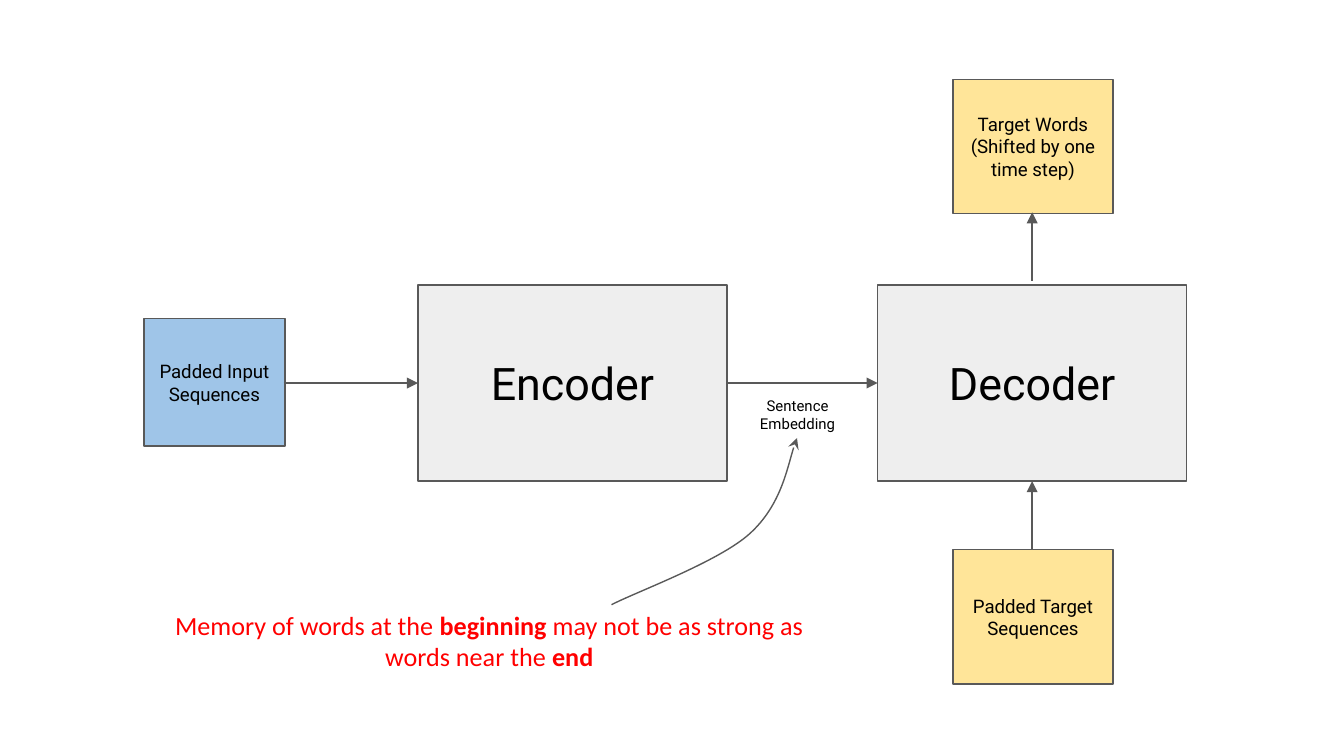
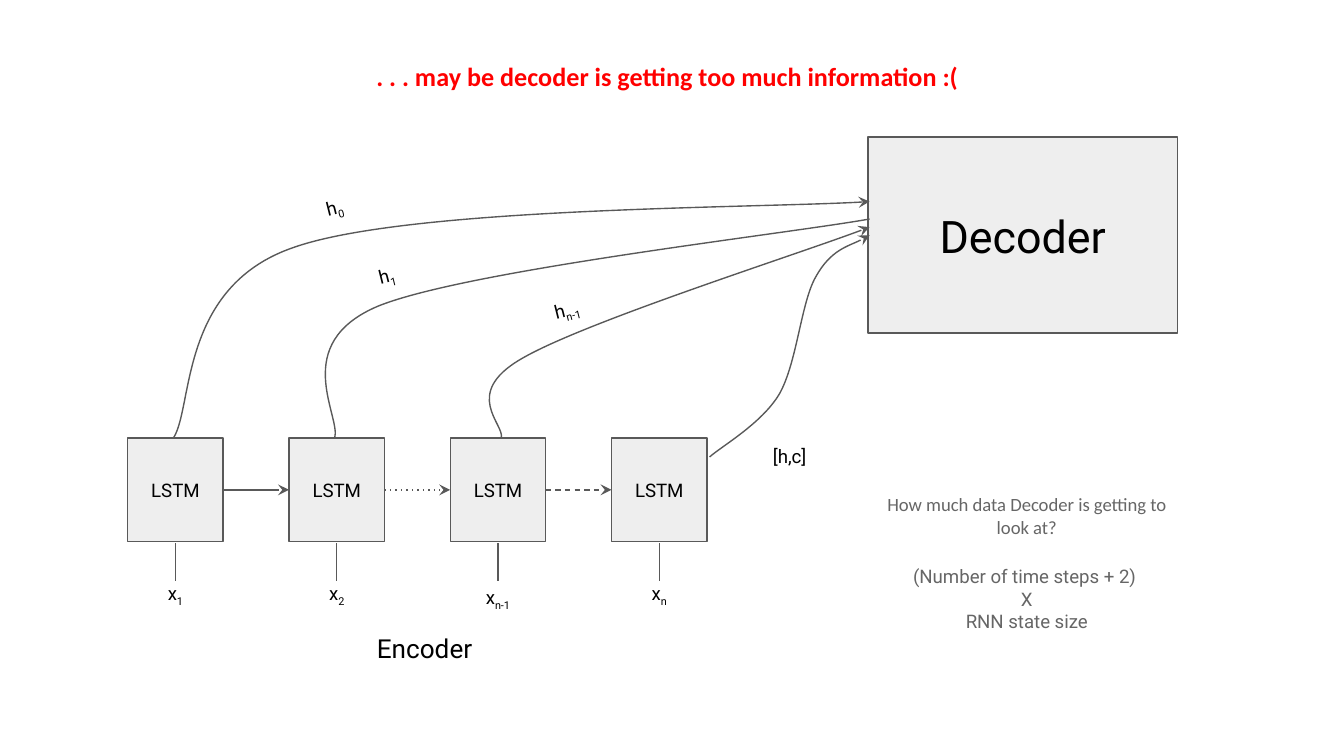
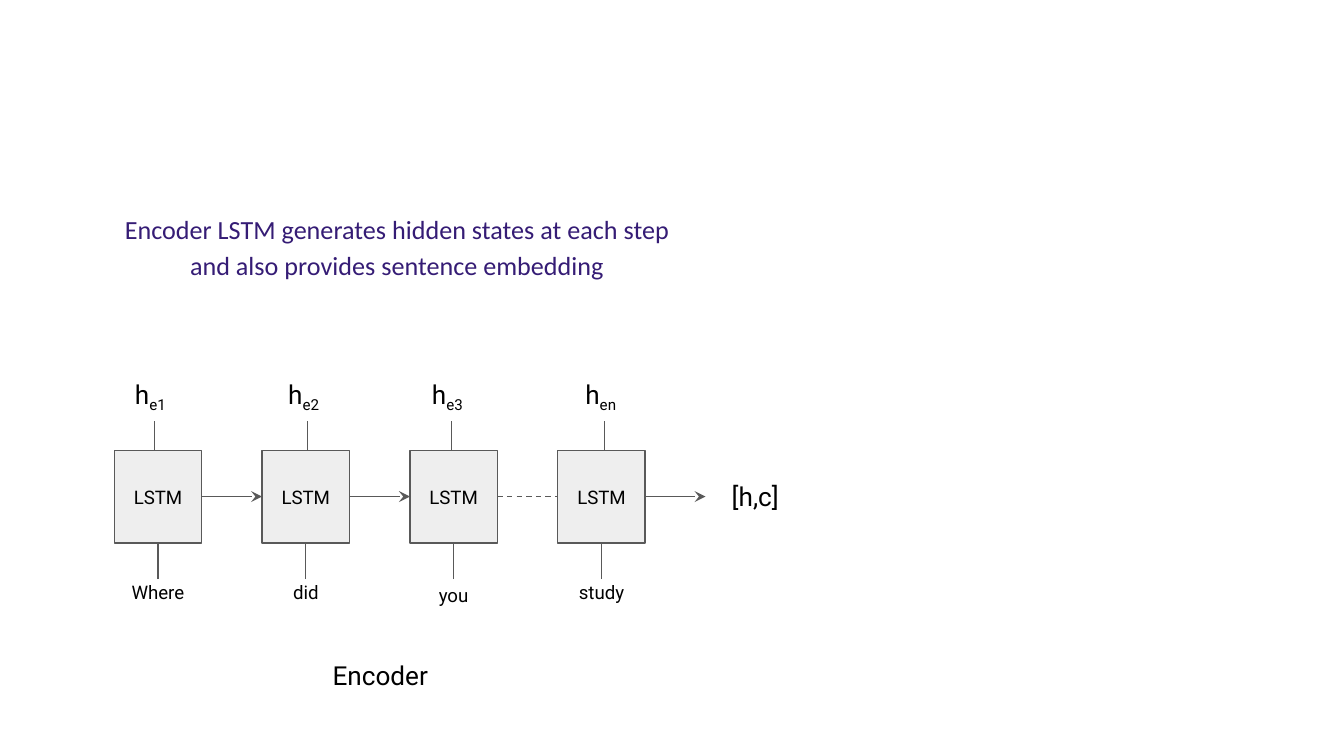
"""Build three slides on how an LSTM encoder passes its states to a decoder."""
from lxml import etree
from pptx import Presentation
from pptx.dml.color import RGBColor
from pptx.enum import shapes, text
from pptx.oxml import ns
from pptx.util import Inches, Pt

BLACK = RGBColor(0x00, 0x00, 0x00)
DARK_GRAY = RGBColor(0x59, 0x59, 0x59)
MID_GRAY = RGBColor(0x66, 0x66, 0x66)
LIGHT_GRAY = RGBColor(0xEE, 0xEE, 0xEE)
BLUE = RGBColor(0x9F, 0xC5, 0xE8)
YELLOW = RGBColor(0xFF, 0xE5, 0x99)
RED = RGBColor(0xFF, 0x00, 0x00)
PURPLE = RGBColor(0x35, 0x1C, 0x75)
BODY_FONT, NOTE_FONT = "Roboto", "Calibri"
MODEL_SIZE = (2.3, 1.46)

MODEL_BLOCKS = [
    ("Encoder", (3.11, 2.12, *MODEL_SIZE), LIGHT_GRAY, 24),
    ("Decoder", (6.53, 2.12, *MODEL_SIZE), LIGHT_GRAY, 24),
    ("Padded Input Sequences", (1.07, 2.37, 1.05, 0.95), BLUE, 10),
    ("Padded Target Sequences", (7.09, 4.09, 1.19, 1), YELLOW, 10),
    ("Target Words (Shifted by one time step)", (7.09, 0.59, 1.19, 1), YELLOW, 10),
]
MODEL_ARROWS = [
    ((5.41, 2.85), (6.53, 2.85)),
    ((2.11, 2.85), (3.11, 2.85)),
    ((7.68, 4.09), (7.68, 3.58)),
    ((7.68, 2.09), (7.68, 1.58)),
]
MEMORY_NOTE = [
    ("Memory of words at the ", ""), ("beginning", "bold"),
    (" may not be as strong as words near the ", ""), ("end", "bold"),
]
MEMORY_CURVE = [(4.55, 4.5), (4.72, 4.41), (5.35, 4.18), (5.58, 3.97),
                (5.81, 3.76), (5.88, 3.38), (5.93, 3.26)]

STEP_INPUTS = [("x", "1", 0), ("x", "2", 0), ("x", "n-1", 0.03), ("x", "n", 0)]
STEP_LINKS = [("solid", "stealth"), ("dot", "stealth"), ("dash", "stealth")]
STATE_CURVES = [
    ([(1.29, 3.26), (1.44, 3.03), (1.33, 2.13), (2.19, 1.84),
      (3.05, 1.54), (5.75, 1.55), (6.47, 1.5)], "stealth"),
    ([(2.49, 3.26), (2.54, 3.1), (2.15, 2.56), (2.81, 2.28),
      (3.47, 2.01), (5.86, 1.74), (6.47, 1.63)], None),
    ([(3.73, 3.26), (3.76, 3.16), (3.43, 2.93), (3.88, 2.67),
      (4.34, 2.4), (6.04, 1.86), (6.47, 1.69)], "stealth"),
    ([(5.28, 3.4), (5.37, 3.32), (5.67, 3.15), (5.8, 2.93), (5.93, 2.7),
      (5.96, 2.25), (6.07, 2.06), (6.18, 1.86), (6.4, 1.8), (6.47, 1.75)], "stealth"),
]
STATE_LABELS = [("0", 1.81, 1.41), ("1", 2.2, 1.92), ("n-1", 3.54, 2.17)]
DATA_SIZE = ["(Number of time steps + 2) ", "X", "RNN state size"]

WORD_INPUTS = [("Where", "", 0), ("did", "", 0), ("you", "", 0.02), ("study", "", 0)]
WORD_LINKS = [("solid", "stealth"), ("solid", "stealth"), ("dash", None), ("solid", "stealth")]
HIDDEN_STATES = [("e1", 0.74), ("e2", 1.88), ("e3", 2.95), ("en", 4.09)]


def inches(values):
    """Convert numbers to lengths."""
    return [Inches(value) for value in values]


def write(shape, paragraphs, size, color=BLACK, font=BODY_FONT, bold=None,
          spacing=None, anchor=text.MSO_ANCHOR.MIDDLE):
    """Fill a shape with centred paragraphs, each a string or a list of (words, style)."""
    frame = shape.text_frame
    frame.word_wrap = True
    frame.vertical_anchor = anchor
    frame.margin_left = frame.margin_right = Inches(0.1)
    frame.margin_top = frame.margin_bottom = Inches(0.1)
    for index, runs in enumerate(paragraphs):
        para = frame.add_paragraph() if index else frame.paragraphs[0]
        para.alignment = text.PP_ALIGN.CENTER
        para.line_spacing = spacing
        para.font.size, para.font.name = Pt(size), font
        para.font.bold, para.font.color.rgb = bold, color
        for words, style in [(runs, "")] if isinstance(runs, str) else runs:
            span = para.add_run()
            span.text = words
            if style == "bold":
                span.font.bold = True
            elif style == "sub":
                span.font._element.set("baseline", "-25000")


def add_block(page, words, place, fill, size):
    """Add an outlined rectangle with centred words."""
    block = page.shapes.add_shape(shapes.MSO_SHAPE.RECTANGLE, *inches(place))
    block.shadow.inherit = False
    block.fill.solid()
    block.fill.fore_color.rgb = fill
    block.line.color.rgb, block.line.width = DARK_GRAY, Pt(0.75)
    write(block, [words], size)


def add_label(page, paragraphs, place, size, rotation=0, **style):
    """Add a text box."""
    box = page.shapes.add_textbox(*inches(place))
    box.rotation = rotation
    write(box, paragraphs, size, **style)


def style_line(item, head, dash="solid"):
    """Give a connector or curve its stroke, dash and arrowhead."""
    item.line.color.rgb, item.line.width = DARK_GRAY, Pt(0.75)
    stroke = item.line._get_or_add_ln()
    etree.SubElement(stroke, ns.qn("a:prstDash"), val=dash)
    if head:
        etree.SubElement(stroke, ns.qn("a:tailEnd"), type=head)


def add_line(page, start, end, head=None, dash="solid"):
    """Add a straight connector."""
    line = page.shapes.add_connector(shapes.MSO_CONNECTOR.STRAIGHT, *inches(start + end))
    style_line(line, head, dash)
    etree.SubElement(line._element.spPr, ns.qn("a:effectLst"))


def add_curve(page, points, head):
    """Add a chain of cubic curves: an anchor, then two controls and an anchor each."""
    points = [inches(point) for point in points]
    builder = page.shapes.build_freeform(*points[0])
    builder.add_line_segments(points[3::3], close=False)
    curve = builder.convert_to_shape()
    curve.shadow.inherit = False
    curve.fill.background()
    style_line(curve, head)
    for index, segment in enumerate(list(curve._element.iter(ns.qn("a:lnTo")))):
        segment.tag = ns.qn("a:cubicBezTo")
        for place, (x, y) in enumerate(points[3 * index + 1:3 * index + 3]):
            control = etree.Element(ns.qn("a:pt"), x=str(x - curve.left), y=str(y - curve.top))
            segment.insert(place, control)


def add_chain(page, place, pitch, inputs, links, label_top, label_size):
    """Add a row of LSTM cells with their inputs and links."""
    left, top, width, height = place
    label_width, label_height = label_size
    for index, (base, sub, drop) in enumerate(inputs):
        cell_left = left + index * pitch
        center = cell_left + width / 2
        add_block(page, "LSTM", (cell_left, top, width, height), LIGHT_GRAY, 10)
        add_line(page, (center, label_top), (center, top + height + 0.01))
        runs = [(base, ""), (sub, "sub")] if sub else base
        label_place = (center - label_width / 2, label_top + drop, label_width, label_height)
        add_label(page, [runs], label_place, 10)
    middle = top + height / 2
    for index, (dash, head) in enumerate(links):
        start = left + index * pitch + width
        add_line(page, (start, middle), (start + pitch - width, middle), head, dash)


def build_memory(page):
    """Show the encoder-decoder model and its weak memory."""
    for block in MODEL_BLOCKS:
        add_block(page, *block)
    for start, end in MODEL_ARROWS:
        add_line(page, start, end, "triangle")
    add_label(page, ["Sentence Embedding"], (5.41, 2.85, 1.05, 0.51), 8,
              anchor=text.MSO_ANCHOR.TOP)
    add_label(page, [MEMORY_NOTE], (0.99, 4.29, 5.3, 0.95), 14, color=RED, font=NOTE_FONT)
    add_curve(page, MEMORY_CURVE, "stealth")


def build_all_states(page):
    """Show every hidden state going to the decoder."""
    add_chain(page, (0.95, 3.26, 0.71, 0.77), 1.2, STEP_INPUTS, STEP_LINKS, 4.32, (0.62, 0.21))
    add_block(page, "Decoder", (6.46, 1.02, *MODEL_SIZE), LIGHT_GRAY, 24)
    for points, head in STATE_CURVES:
        add_curve(page, points, head)
    for sub, left, top in STATE_LABELS:
        add_label(page, [[("h", ""), (sub, "sub")]], (left, top, 1.36, 0.28), 10, rotation=345.8)
    add_label(page, ["[h,c]"], (5.52, 3.25, 0.71, 0.28), 10)
    add_label(page, ["Encoder"], (2.26, 4.63, 1.8, 0.39), 14)
    add_label(page, ["How much data Decoder is getting to look at?"],
              (6.49, 3.64, 2.3, 0.39), 10, color=MID_GRAY, font=NOTE_FONT)
    add_label(page, DATA_SIZE, (6.49, 4.18, 2.3, 0.55), 10, color=MID_GRAY)
    add_label(page, [" . . . may be decoder is getting too much information :("],
              (2.51, 0.18, 4.87, 0.77), 14, color=RED, font=NOTE_FONT, bold=True)


def build_hidden_states(page):
    """Show the hidden state made at each word."""
    add_chain(page, (0.85, 3.35, 0.65, 0.69), 1.1, WORD_INPUTS, WORD_LINKS, 4.31, (0.65, 0.19))
    for sub, left in HIDDEN_STATES:
        add_label(page, [[("h", ""), (sub, "sub")]], (left, 2.73, 0.76, 0.43), 14)
        add_line(page, (left + 0.41, 3.35), (left + 0.41, 3.13))
    add_label(page, ["[h,c]"], (5.24, 3.48, 0.76, 0.43), 14)
    add_label(page, ["Encoder"], (2.01, 4.85, 1.64, 0.35), 14)
    add_label(page, ["Encoder LSTM generates hidden states at each step "
                     "and also provides sentence embedding"],
              (0.76, 1.3, 4.39, 1.04), 14, color=PURPLE, font=NOTE_FONT, spacing=1.15)


def main():
    """Build and save the deck."""
    deck = Presentation()
    deck.slide_width = Inches(10)
    deck.slide_height = deck.slide_width * 9 // 16
    for build in (build_memory, build_all_states, build_hidden_states):
        build(deck.slides.add_slide(deck.slide_layouts[6]))
    deck.save("out.pptx")


if __name__ == "__main__":
    main()
